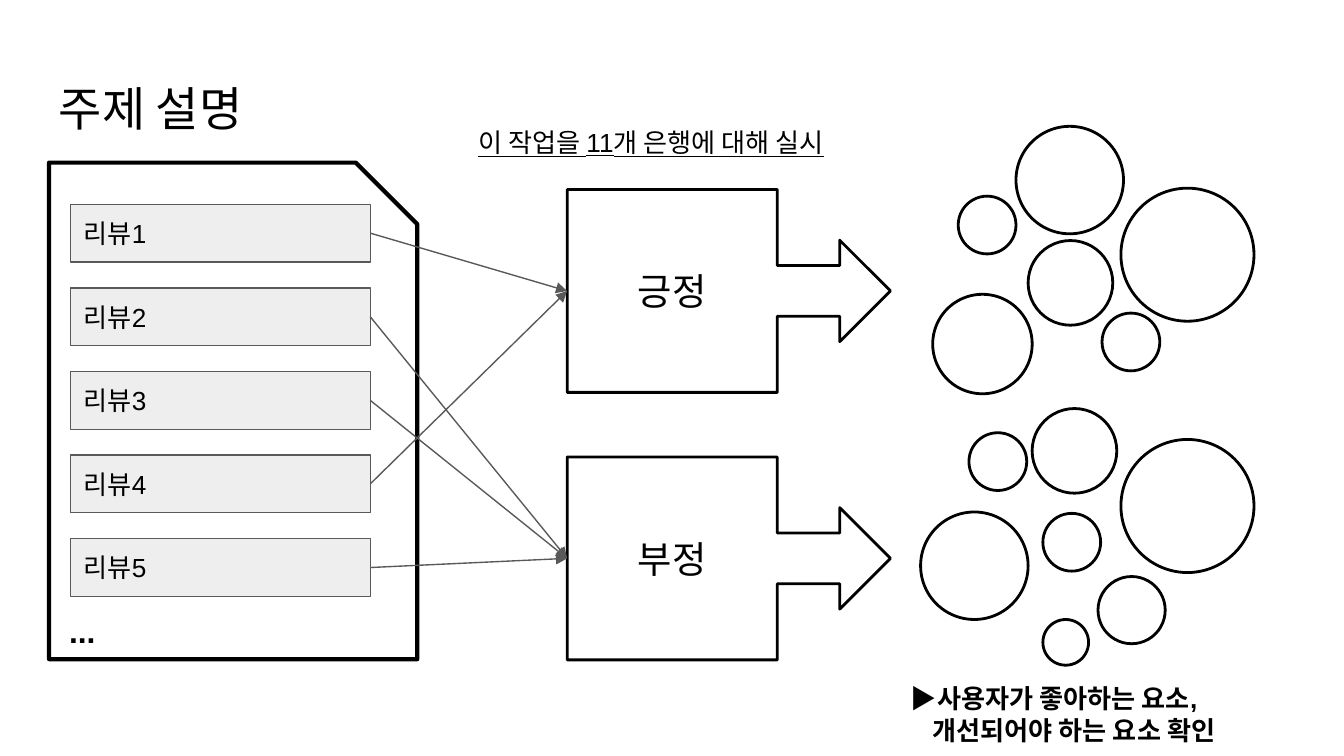
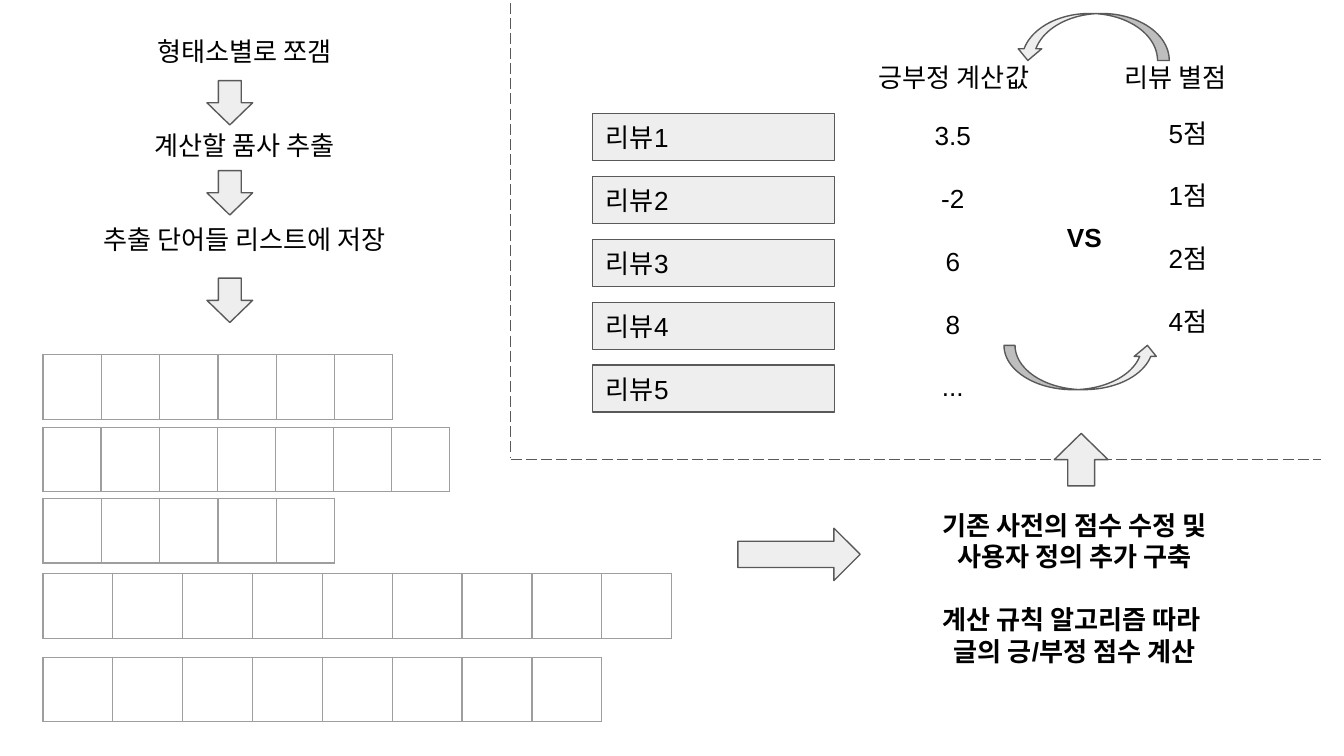
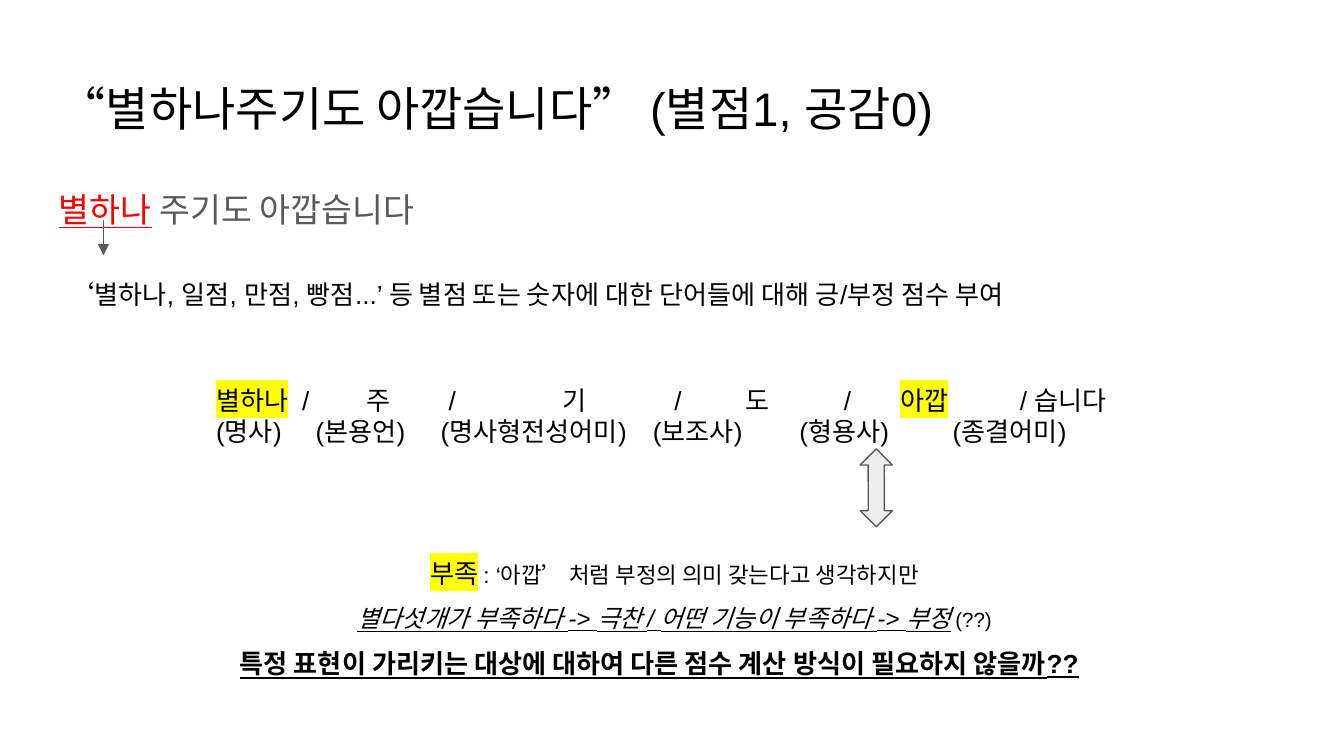
import dataclasses
import lxml.etree
import pptx
import pptx.dml.color
import pptx.enum.dml
import pptx.enum.shapes
import pptx.enum.text
import pptx.oxml.ns
import pptx.util

Kind = pptx.enum.shapes.MSO_SHAPE
Align = pptx.enum.text.PP_ALIGN
Anchor = pptx.enum.text.MSO_ANCHOR
Pt = pptx.util.Pt

COLS, ROWS = 100, 56.25


@dataclasses.dataclass(frozen=True)
class Theme:
    font: str = "Arial"
    ink: str = "000000"
    paper: str = "FFFFFF"
    gray: str = "595959"
    pale: str = "EEEEEE"
    rule: str = "9E9E9E"
    red: str = "FF0000"
    mark: str = "FFFF00"
    title: float = 25.2
    label: float = 20
    lead: float = 18
    body: float = 14
    thin: float = 0.75
    bold: float = 1.5
    thick: float = 2.25


THEME = Theme()


def grid(*cells):
    """Turn grid cells, a hundredth of the slide's width each, into lengths."""
    return [pptx.util.Inches(cell * 10 / COLS) for cell in cells]


def rgb(code):
    return pptx.dml.color.RGBColor.from_string(code)


def sub(node, tag, **attrs):
    return lxml.etree.SubElement(node, pptx.oxml.ns.qn(tag), **attrs)


def add_run(para, text, size=THEME.body, color=THEME.ink, mark=None,
            bold=False, slant=False, under=False):
    run = para.add_run()
    run.text = text
    font = run.font
    font.size, font.bold, font.italic = Pt(size), bold, slant
    font.underline = under
    font.color.rgb = rgb(color)
    if mark:
        props = run._r.get_or_add_rPr()
        sub(sub(props, "a:highlight"), "a:srgbClr", val=mark)
    font.name = THEME.font


def fill_text(frame, paras, align=Align.LEFT, anchor=Anchor.TOP, gap=0,
              space=None, **style):
    """Write paragraphs; each is a string or a list of (text, style) runs."""
    frame.word_wrap = True
    frame.vertical_anchor = anchor
    (frame.margin_left, frame.margin_top,
     frame.margin_right, frame.margin_bottom) = grid(1, 1, 1, 1)
    for num, runs in enumerate(paras):
        para = frame.add_paragraph() if num else frame.paragraphs[0]
        para.alignment = align
        if space:
            para.line_spacing = space
        if num and gap:
            para.space_before = Pt(gap)
        if isinstance(runs, str):
            runs = [(runs, {})]
        for text, own in runs:
            add_run(para, text, **{**style, **own})


def add_text(slide, box, *paras, **style):
    frame = slide.shapes.add_textbox(*grid(*box)).text_frame
    fill_text(frame, paras, **style)
    return frame


def add_title(slide, text):
    add_text(slide, (3.4, 4.9, 93.2, 6.3), text, size=THEME.title)


def add_form(slide, kind, box, fill=THEME.pale, line=THEME.gray,
             width=THEME.thin, turn=0, adjust=()):
    form = slide.shapes.add_shape(kind, *grid(*box))
    form.shadow.inherit = False
    form.fill.solid()
    form.fill.fore_color.rgb = rgb(fill)
    form.line.color.rgb = rgb(line)
    form.line.width = Pt(width)
    form.rotation = turn
    for num, value in enumerate(adjust):
        form.adjustments[num] = value
    return form


def add_cards(slide, left, top, width, height, step):
    """Stack the five review cards at an even step."""
    cards = []
    for num in range(5):
        card = add_form(slide, Kind.FLOWCHART_PROCESS,
                        (left, top + num * step, width, height))
        fill_text(card.text_frame, [f"리뷰{num + 1}"], anchor=Anchor.MIDDLE)
        cards.append(card)
    return cards


def add_line(slide, start=(0, 0), end=(0, 0), dash=False, arrow=False):
    line = slide.shapes.add_connector(
        pptx.enum.shapes.MSO_CONNECTOR.STRAIGHT, *grid(*start, *end))
    line.line.color.rgb = rgb(THEME.gray)
    line.line.width = Pt(THEME.thin)
    if dash:
        line.line.dash_style = pptx.enum.dml.MSO_LINE.LONG_DASH
    if arrow:
        sub(line.line._get_or_add_ln(), "a:tailEnd", type="triangle")
    sub(line._element.spPr, "a:effectLst")
    return line


def add_strip(slide, top, count, width, left=3.2, height=4.8):
    """Draw one word list as a row of empty cells."""
    table = slide.shapes.add_table(
        1, count, *grid(left, top, count * width, height)).table
    table.first_row = table.horz_banding = False
    for cell in table.iter_cells():
        cell.fill.background()
        props = cell._tc.get_or_add_tcPr()
        for num, side in enumerate("LRTB"):
            edge = sub(props, f"a:ln{side}", w=str(Pt(THEME.thin)))
            sub(sub(edge, "a:solidFill"), "a:srgbClr", val=THEME.rule)
            props.insert(num, edge)


def set_tabs(para, stops):
    tabs = sub(para._p.get_or_add_pPr(), "a:tabLst")
    for stop in grid(*stops):
        sub(tabs, "a:tab", pos=str(stop), algn="l")


def topic(slide):
    add_title(slide, "주제 설명")
    solid = {"fill": THEME.paper, "line": THEME.ink}

    page = add_form(slide, Kind.SNIP_1_RECTANGLE, (3.65, 12.1, 27.4, 36.95),
                    width=THEME.thick, adjust=[0.167], **solid)
    fill_text(page.text_frame, ["..."], anchor=Anchor.BOTTOM, size=17,
              bold=True)
    page.text_frame.margin_left, page.text_frame.margin_bottom = grid(1.5, 0.7)

    cards = add_cards(slide, 5.25, 15.2, 22.3, 4.3, 6.22)
    moods = []
    for name, top in (("긍정", 14.1), ("부정", 34)):
        mood = add_form(slide, Kind.RIGHT_ARROW_CALLOUT,
                        (42.2, top, 24.05, 15.1), width=THEME.bold,
                        adjust=[0.25, 0.25, 0.25, 0.65], **solid)
        fill_text(mood.text_frame, [name], align=Align.CENTER,
                  anchor=Anchor.MIDDLE, size=THEME.label)
        moods.append(mood)
    for card, mood in zip(cards, (0, 1, 1, 0, 1)):
        link = add_line(slide, arrow=True)
        link.begin_connect(card, 3)
        link.end_connect(moods[mood], 1)

    bubbles = (
        (75.6, 9.4, 8), (71.3, 14.6, 4.3), (76.5, 17.9, 6.3),
        (83.4, 14, 9.9), (69.4, 21.9, 7.4), (82, 23.3, 4.3),
        (72.1, 32.2, 4.3), (83.4, 32.7, 9.9), (77.6, 38.2, 4.3),
        (68.5, 38.1, 8), (81.7, 42.9, 5), (77.6, 46.1, 3.4),
        (76.8, 30.4, 6.3))
    for left, top, size in bubbles:
        add_form(slide, Kind.OVAL, (left, top, size, size),
                 width=THEME.bold, **solid)

    note = add_text(slide, (66.8, 49.8, 27.4, 6.7),
                    "▶사용자가 좋아하는 요소,", "개선되어야 하는 요소 확인",
                    bold=True)
    note.paragraphs[1]._p.get_or_add_pPr().set("marL", str(grid(1.6)[0]))
    add_text(slide, (34.6, 8.4, 30.8, 4.4),
             "이 작업을 11개 은행에 대해 실시", under=True)


def method(slide):
    strips = ((26.4, 6, 4.34), (31.8, 7, 4.32), (37.1, 5, 4.34),
              (42.7, 9, 5.2), (48.9, 8, 5.2))
    for top, count, width in strips:
        add_strip(slide, top, count, width)

    add_text(slide, (1.3, 1.6, 33.8, 18.5), "형태소별로 쪼갬",
             "계산할 품사 추출", "추출 단어들 리스트에 저장",
             align=Align.CENTER, gap=33.6)
    for top in (6, 12.7, 20.7):
        add_form(slide, Kind.DOWN_ARROW, (15.4, top, 3.4, 3.3))
    add_form(slide, Kind.RIGHT_ARROW, (54.9, 39.3, 9.1, 3.9))

    result = add_text(slide, (63.4, 36.9, 33.1, 13.8),
                      "기존 사전의 점수 수정 및", "사용자 정의 추가 구축",
                      "계산 규칙 알고리즘 따라 ", "글의 긍/부정 점수 계산",
                      align=Align.CENTER, bold=True)
    result.paragraphs[2].space_before = Pt(16.8)

    add_cards(slide, 44.1, 8.45, 18, 3.5, 4.68)
    add_text(slide, (64.4, 3.6, 14.7, 4.4), "긍부정 계산값")
    add_text(slide, (82.7, 3.6, 14.7, 4.4), "리뷰 별점")
    add_text(slide, (64.1, 7.9, 13.6, 23.2), "3.5", "-2", "6", "8", "...",
             align=Align.CENTER, gap=16.8)
    add_text(slide, (78.4, 15.5, 6, 4.4), "VS", bold=True)
    add_text(slide, (83.6, 7.7, 9.6, 18.5), "5점", "1점", "2점", "4점",
             align=Align.CENTER, gap=16.8)

    add_form(slide, Kind.CURVED_UP_ARROW, (74.7, 25.7, 11.5, 3.3))
    add_form(slide, Kind.CURVED_UP_ARROW, (75.6, 1, 11.4, 3.5), turn=180)
    add_line(slide, (38, 0.2), (38, 34.1), dash=True)
    add_line(slide, (38, 34.2), (98.3, 34.2), dash=True)
    add_form(slide, Kind.RIGHT_ARROW, (78.5, 32.2, 3.9, 4), turn=270)


def sample(slide):
    add_title(slide, "“별하나주기도 아깝습니다” (별점1, 공감0)")
    add_text(slide, (3.4, 12.6, 93.2, 37.4),
             [("별하나", {"color": THEME.red, "under": True}),
              (" 주기도 아깝습니다", {"color": THEME.gray})],
             size=THEME.lead, space=1.15)
    add_line(slide, (7.7, 16.4), (7.7, 19), arrow=True)
    add_text(slide, (4.1, 19.7, 84.3, 4.4),
             "‘별하나, 일점, 만점, 빵점...’ 등 별점 또는 숫자에 대한 "
             "단어들에 대해 긍/부정 점수 부여")

    mark = {"mark": THEME.mark}
    parts = add_text(
        slide, (15.1, 27.6, 73.3, 16.2),
        [("별하나", mark), ("\t/\t주\t/\t기\t/\t도\t/\t", {}),
         ("아깝", mark), ("\t/ 습니다", {})],
        "(명사)\t(본용언)\t(명사형전성어미)\t(보조사)\t(형용사)\t(종결어미)")
    set_tabs(parts.paragraphs[0],
             (6.4, 11.2, 17.3, 25.8, 34.1, 39.4, 46.7, 50.9, 59.8))
    set_tabs(parts.paragraphs[1], (7.4, 16.7, 32.5, 43.4, 54.8))
    add_form(slide, Kind.UP_DOWN_ARROW, (64, 33.4, 2.4, 5.8), turn=359.9)

    add_text(slide, (21.2, 39.3, 58, 7.7),
             [("부족", mark),
              (" : ‘아깝’ 처럼 부정의 의미 갖는다고 생각하지만", {"size": 12})],
             [("별다섯개가 부족하다 -> 극찬 / 어떤 기능이 부족하다 -> 부정",
               {"size": 13, "slant": True, "under": True}),
              (" (??)", {"size": 11})],
             align=Align.CENTER, space=1.5)
    add_text(slide, (9.9, 47.2, 78.3, 4.4),
             "특정 표현이 가리키는 대상에 대하여 다른 점수 계산 방식이 "
             "필요하지 않을까??",
             align=Align.CENTER, bold=True, under=True)


def main():
    deck = pptx.Presentation()
    deck.slide_width, deck.slide_height = grid(COLS, ROWS)
    for build in (topic, method, sample):
        build(deck.slides.add_slide(deck.slide_layouts[6]))
    deck.save("out.pptx")


if __name__ == "__main__":
    main()
